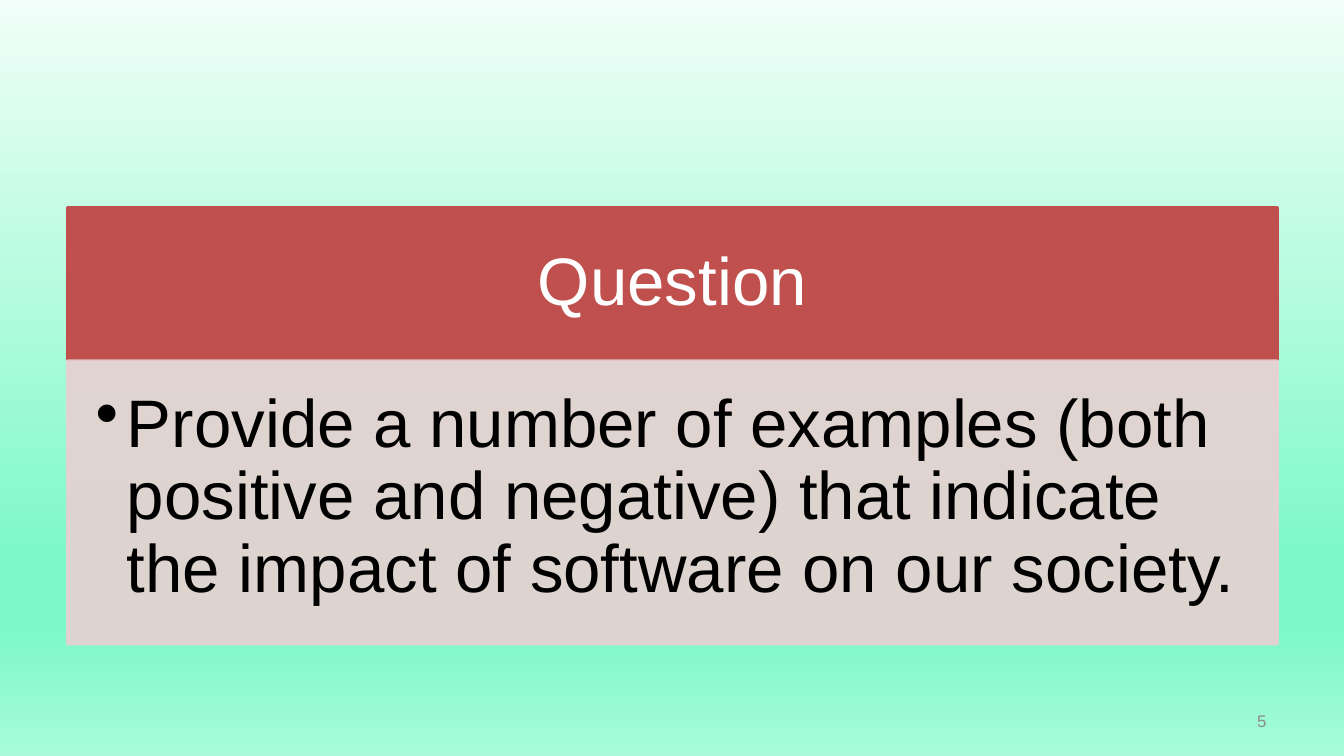
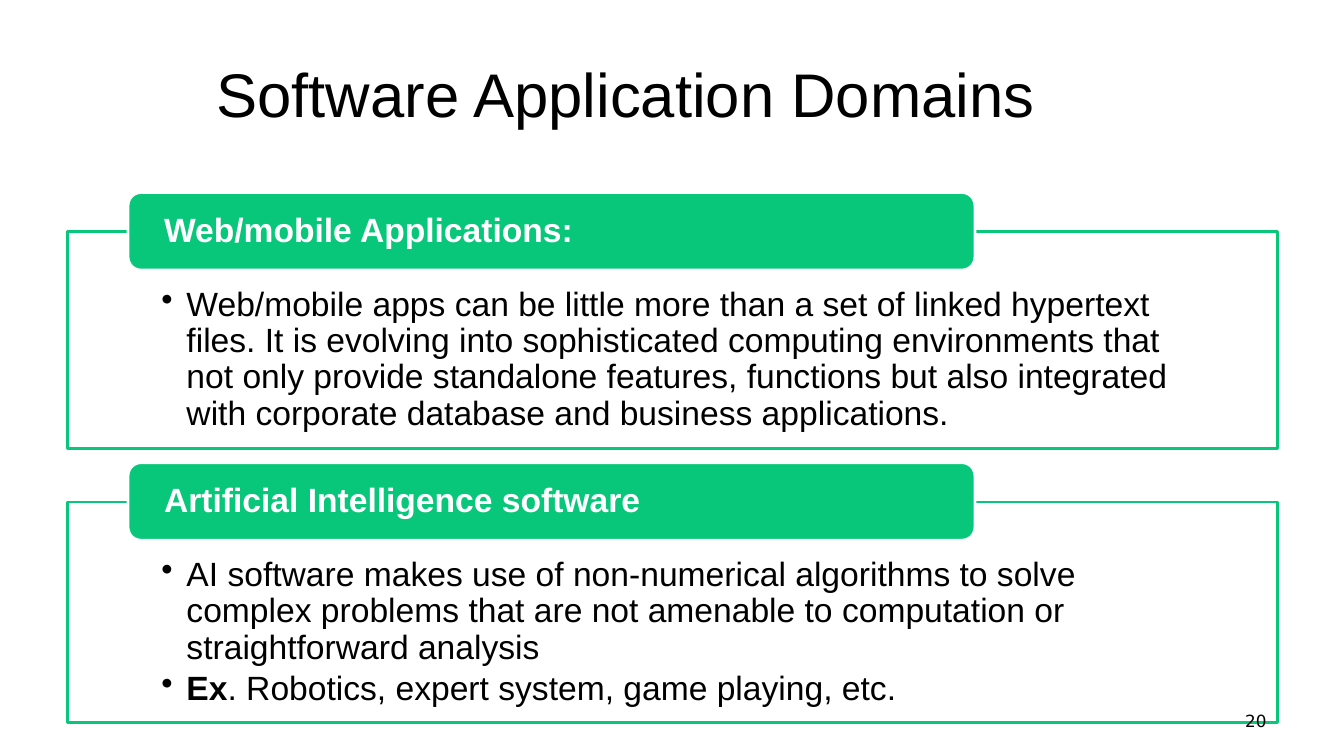
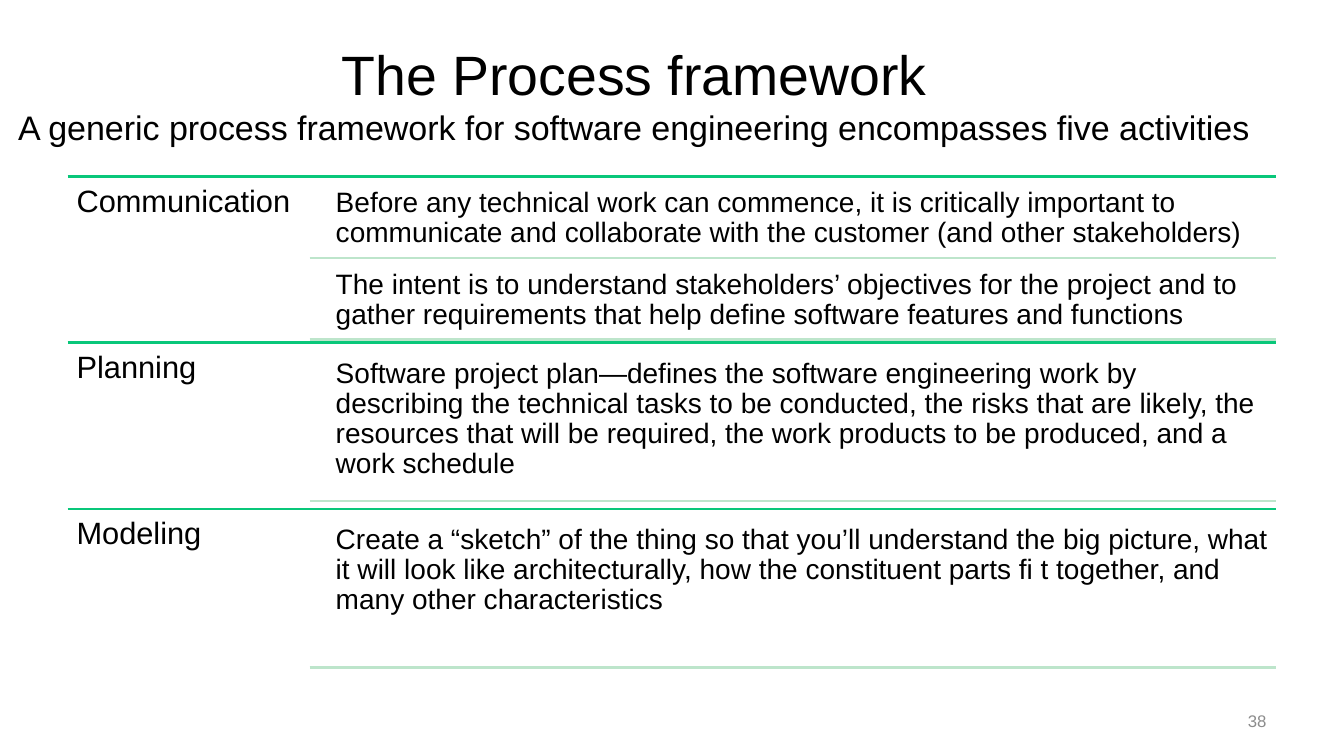
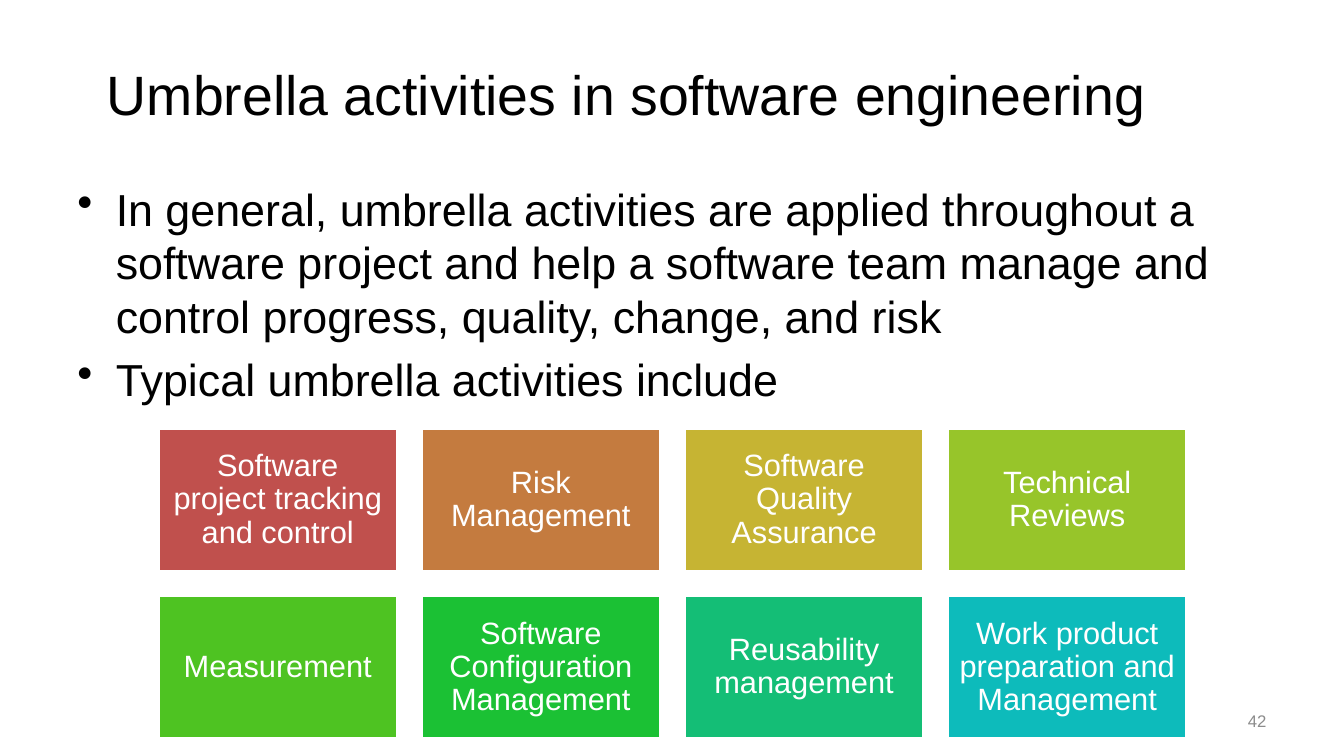
import copy
import math
from dataclasses import dataclass, replace
from typing import Any, NamedTuple

import lxml.etree
import pptx
import pptx.dml.color
import pptx.enum.shapes
import pptx.enum.text
import pptx.oxml.ns
import pptx.util

# Shared look
PX = 9144  # EMU in one px, 100 px to the inch
WIDE, HIGH = 1333, 750
LEFT, RIGHT = 67, 1266
FONT = "Arial"
BLACK, WHITE, GREY = "000000", "FFFFFF", "8C8C8C"
GREEN, PALE, RED, PINK = "09C77A", "BDE5CB", "C0504D", "E8D0D0"

ALIGN = pptx.enum.text.PP_ALIGN
ANCHOR = pptx.enum.text.MSO_ANCHOR
SHAPE = pptx.enum.shapes.MSO_SHAPE
qn = pptx.oxml.ns.qn


class Box(NamedTuple):
    x: int
    y: int
    w: int
    h: int


class Run(NamedTuple):
    text: str
    bold: bool = False
    size: float | None = None


Para = list[Run]


@dataclass(frozen=True)
class Style:
    size: float
    color: str = BLACK
    font: str = FONT
    align: Any = ALIGN.LEFT
    anchor: Any = ANCHOR.TOP
    inset: tuple[int, int, int, int] = (10, 5, 10, 5)
    lead: float = 1.0
    hang: int = 0  # bullet indent
    gap: float = 0  # points between paragraphs


@dataclass(frozen=True)
class Panel:
    head: str
    body: list[Para]
    box: Box


@dataclass(frozen=True)
class Row:
    label: str
    notes: list[str]


@dataclass(frozen=True)
class Tile:
    text: str
    color: str


TITLE = Style(44, align=ALIGN.CENTER, anchor=ANCHOR.MIDDLE)
PAGE = Style(12, GREY, align=ALIGN.RIGHT, anchor=ANCHOR.MIDDLE)
TITLE_BOX = Box(67, 30, 1108, 125)
PAGE_BOX = Box(955, 695, 311, 40)


# Helpers
def px(val: int) -> int:
    return pptx.util.Emu(val * PX)


def rgb(code: str) -> pptx.dml.color.RGBColor:
    return pptx.dml.color.RGBColor.from_string(code)


def paint(fill: Any, code: str, alpha: int = 100) -> None:
    fill.solid()
    fill.fore_color.rgb = rgb(code)
    if alpha < 100:
        tint = fill._xPr.find(f"{qn('a:solidFill')}/{qn('a:srgbClr')}")
        lxml.etree.SubElement(tint, qn("a:alpha"), val=str(alpha * 1000))


def add_run(para: Any, part: Run, style: Style) -> None:
    run = para.add_run()
    run.text = part.text.rstrip("\n")
    font = run.font
    font.name = style.font
    font.size = pptx.util.Pt(part.size or style.size)
    font.bold = part.bold
    font.color.rgb = rgb(style.color)
    if part.text.endswith("\n"):
        para.add_line_break()
        para._p[-1].append(copy.deepcopy(run._r.rPr))


def write(shape: Any, paras: list[Para], style: Style) -> None:
    frame = shape.text_frame
    frame.word_wrap = True
    frame.auto_size = pptx.enum.text.MSO_AUTO_SIZE.NONE
    frame.vertical_anchor = style.anchor
    (frame.margin_left, frame.margin_top,
     frame.margin_right, frame.margin_bottom) = map(px, style.inset)
    for i, parts in enumerate(paras):
        para = frame.add_paragraph() if i else frame.paragraphs[0]
        para.alignment = style.align
        para.line_spacing = style.lead
        if i:
            para.space_before = pptx.util.Pt(style.gap)
        if style.hang:
            props = para._p.get_or_add_pPr()
            props.set("marL", str(px(style.hang)))
            props.set("indent", str(-px(style.hang)))
            lxml.etree.SubElement(props, qn("a:buChar"), char="•")
        for part in parts:
            add_run(para, part, style)


def add_text(slide: Any, box: Box, paras: list[Para], style: Style) -> None:
    write(slide.shapes.add_textbox(*map(px, box)), paras, style)


def add_block(slide: Any, box: Box, fill: str, line: str, paras: list[Para],
              style: Style, kind: Any = SHAPE.RECTANGLE,
              alpha: int = 100, edge: int = 100) -> None:
    shape = slide.shapes.add_shape(kind, *map(px, box))
    shape.shadow.inherit = False
    paint(shape.fill, fill, alpha)
    paint(shape.line.fill, line, edge)
    shape.line.width = pptx.util.Pt(2)
    write(shape, paras, style)


def add_rule(slide: Any, x: int, y: int, color: str) -> None:
    kind = pptx.enum.shapes.MSO_CONNECTOR.STRAIGHT
    rule = slide.shapes.add_connector(kind, px(x), px(y), px(RIGHT), px(y))
    paint(rule.line.fill, color)
    rule.line.width = pptx.util.Pt(2)
    lxml.etree.SubElement(rule._element.spPr, qn("a:effectLst"))


def add_slide(deck: Any, title: Para | None = None, size: float = 44,
              box: Box = TITLE_BOX) -> Any:
    slide = deck.slides.add_slide(deck.slide_layouts[5 if title else 6])
    if title:
        head = slide.shapes.title
        head.left, head.top, head.width, head.height = map(px, box)
        write(head, [title], replace(TITLE, size=size))
    return slide


def add_page(slide: Any, num: str, style: Style = PAGE) -> None:
    add_text(slide, PAGE_BOX, [[Run(num)]], style)


def shade(slide: Any, stops: list[tuple[int, str]]) -> None:
    fill = slide.background.fill
    fill.gradient()
    fill.gradient_angle = 270
    group = slide._element.find(".//" + qn("a:gsLst"))
    for old in list(group):
        group.remove(old)
    for pos, code in stops:
        stop = lxml.etree.SubElement(group, qn("a:gs"), pos=str(pos * 1000))
        lxml.etree.SubElement(stop, qn("a:srgbClr"), val=code)


# Slide 1: question
def ask(deck: Any) -> None:
    slide = add_slide(deck)
    shade(slide, [(0, "F1FEF9"), (74, "7DF9C7"),
                  (83, "7DF9C7"), (100, "A8FBDA")])
    head = Style(48, WHITE, align=ALIGN.CENTER, anchor=ANCHOR.MIDDLE,
                 inset=(37, 21, 37, 21), lead=0.9)
    body = Style(48, inset=(28, 28, 37, 42), lead=0.9, hang=31)
    add_block(slide, Box(LEFT, 206, 1200, 151), RED, RED,
              [[Run("Question")]], head)
    add_block(slide, Box(LEFT, 358, 1200, 281), PINK, PINK,
              [[Run("Provide a number of examples (both positive and "
                    "negative) that indicate the impact of software on "
                    "our society.")]], body, alpha=90, edge=90)
    add_page(slide, "5")


# Slide 2: domains
PANELS = [
    Panel("Web/mobile Applications:", [
        [Run("Web/mobile apps can be little more than a set of linked "
             "hypertext files. It is evolving into sophisticated computing "
             "environments that not only provide standalone features, "
             "functions but also integrated with corporate database and "
             "business applications.")],
    ], Box(LEFT, 230, 1200, 215)),
    Panel("Artificial Intelligence software", [
        [Run("AI software makes use of non-numerical algorithms to solve "
             "complex problems that are not amenable to computation or "
             "straightforward analysis")],
        [Run("Ex", True),
         Run(". Robotics, expert system, game playing, etc.")],
    ], Box(LEFT, 498, 1200, 219)),
]


def show_panels(deck: Any) -> None:
    slide = add_slide(deck, [Run("Software Application Domains")])
    body = Style(24, inset=(93, 55, 93, 19), lead=0.9, hang=25, gap=3.6)
    head = Style(24, WHITE, anchor=ANCHOR.MIDDLE, inset=(32, 0, 32, 0),
                 lead=0.9)
    for panel in PANELS:
        box = panel.box
        add_block(slide, box, WHITE, GREEN, panel.body, body, alpha=90)
        add_block(slide, Box(box.x + 60, box.y - 39, 840, 77), GREEN, WHITE,
                  [[Run(panel.head, True)]], head, SHAPE.ROUNDED_RECTANGLE)
    add_page(slide, "20", replace(PAGE, color=BLACK, font="DejaVu Sans"))


# Slide 3: framework
ROWS = [
    Row("Communication", [
        "Before any technical work can commence, it is critically important "
        "to communicate and collaborate with the customer (and other "
        "stakeholders)",
        "The intent is to understand stakeholders’ objectives for the "
        "project and to gather requirements that help define software "
        "features and functions",
    ]),
    Row("Planning", [
        "Software project plan—defines the software engineering work by "
        "describing the technical tasks to be conducted, the risks that are "
        "likely, the resources that will be required, the work products to "
        "be produced, and a work schedule",
    ]),
    Row("Modeling", [
        "Create a “sketch” of the thing so that you’ll understand the big "
        "picture, what it will look like architecturally, how the "
        "constituent parts fi t together, and many other characteristics",
    ]),
]


def show_rows(deck: Any) -> None:
    title = [Run("The Process framework\n"),
             Run("A generic process framework for software engineering "
                 "encompasses five activities", size=24.3)]
    slide = add_slide(deck, title, 39.6, Box(8, 30, 1242, 125))
    label = Style(22, inset=(9, 9, 9, 9), lead=0.9)
    note = Style(20, inset=(8, 8, 8, 8), lead=0.9)
    top, tall, wide = 175, 165, 240
    for i, row in enumerate(ROWS):
        y = top + i * tall
        add_rule(slide, LEFT, y, GREEN)
        add_text(slide, Box(LEFT, y, wide, tall), [[Run(row.label)]], label)
        count = len(row.notes)
        gap = 8 // count
        high = math.ceil((tall - gap * (count + 1)) / count)
        for j, text in enumerate(row.notes):
            at = y + gap + j * (high + gap)
            add_text(slide, Box(325, at, 942, high), [[Run(text)]], note)
            add_rule(slide, LEFT + wide, at + high, PALE)
    add_page(slide, "38")


# Slide 4: umbrella tasks
TILES = [
    Tile("Software project tracking and control", RED),
    Tile("Risk Management", "C47B3F"),
    Tile("Software Quality Assurance", "C6B433"),
    Tile("Technical Reviews", "97C52A"),
    Tile("Measurement", "4EC322"),
    Tile("Software Configuration Management", "1BC134"),
    Tile("Reusability management", "14BE76"),
    Tile("Work product preparation and Management", "0DBBBB"),
]


def show_tiles(deck: Any) -> None:
    slide = add_slide(
        deck, [Run("Umbrella activities in software engineering")], 39.6)
    add_text(slide, Box(LEFT, 175, 1200, 495), [
        [Run("In general, umbrella activities are applied throughout a "
             "software project and help a software team manage and control "
             "progress, quality, change, and risk")],
        [Run("Typical umbrella activities include")],
    ], Style(32, hang=38, gap=6.4))
    add_page(slide, "42")
    style = Style(22, WHITE, align=ALIGN.CENTER, anchor=ANCHOR.MIDDLE,
                  inset=(9, 9, 9, 9), lead=0.9)
    wide, high, gap = 237, 142, 24
    for i, tile in enumerate(TILES):
        row, col = divmod(i, 4)
        box = Box(157 + col * (wide + gap), 425 + row * (high + gap),
                  wide, high)
        add_block(slide, box, tile.color, WHITE, [[Run(tile.text)]], style)


def main() -> None:
    deck = pptx.Presentation()
    deck.slide_width, deck.slide_height = px(WIDE), px(HIGH)
    for build in (ask, show_panels, show_rows, show_tiles):
        build(deck)
    deck.save("out.pptx")


if __name__ == "__main__":
    main()
